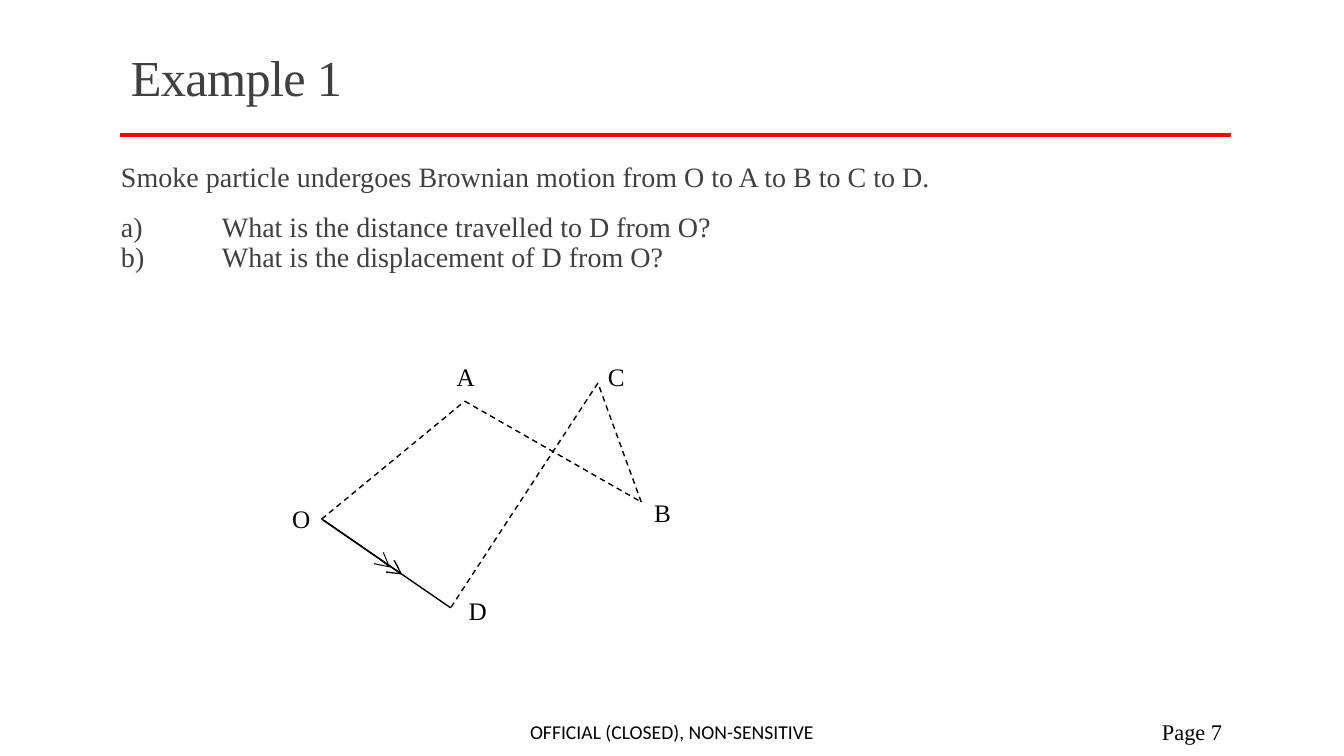
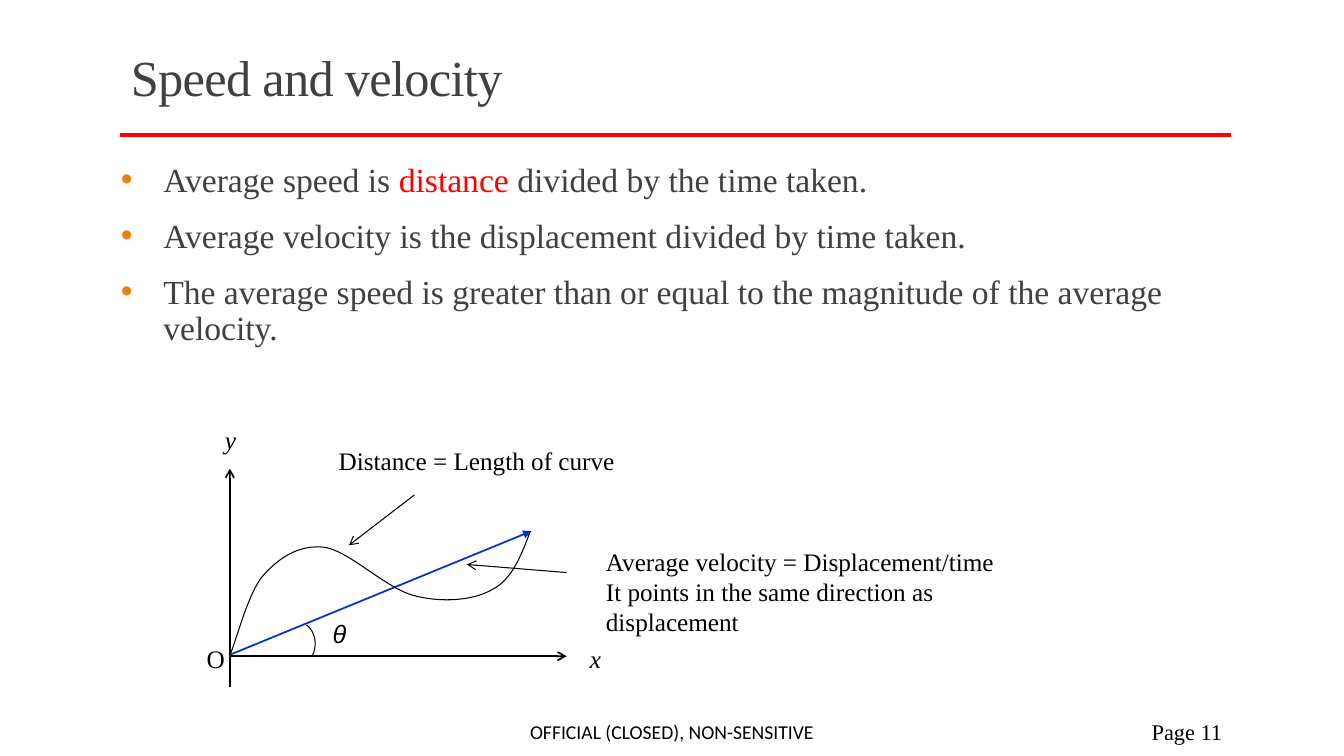
"""Build two physics slides on distance, displacement, speed and velocity."""
import dataclasses
import typing

import lxml.etree
import pptx
import pptx.dml.color
import pptx.enum.dml
import pptx.enum.shapes
import pptx.enum.text
import pptx.oxml.ns
import pptx.util

Inches = pptx.util.Inches
Pt = pptx.util.Pt
qn = pptx.oxml.ns.qn
Align = pptx.enum.text.PP_ALIGN
Anchor = pptx.enum.text.MSO_ANCHOR
Point = tuple[float, float]
Row = list[tuple[str, str]]

HUES = {
    "ink": "000000",
    "gray": "404040",
    "red": "FF0000",
    "blue": "0033CC",
    "dot": "E48312",
}
SERIF = "Times New Roman"


@dataclasses.dataclass
class Label:
    text: str
    left: float
    top: float
    width: float
    height: float
    size: float = 18
    font: str = SERIF
    hue: str = "ink"
    slant: bool = False
    inset: float | None = None
    align: Align = Align.LEFT
    anchor: Anchor = Anchor.TOP
    pitch: float = 1.0
    track: int = 0


@dataclasses.dataclass
class Stroke:
    start: Point
    end: Point
    weight: float = 1
    hue: str = "ink"
    dashed: bool = False
    tip: str = ""
    girth: str = "med"


def color(hue: str) -> pptx.dml.color.RGBColor:
    return pptx.dml.color.RGBColor.from_string(HUES[hue])


def style(font: typing.Any, size: float, hue: str, name: str = SERIF) -> None:
    font.size = Pt(size)
    font.name = name
    font.color.rgb = color(hue)


def add_label(shapes: typing.Any, label: Label) -> None:
    box = shapes.add_textbox(Inches(label.left), Inches(label.top),
                             Inches(label.width), Inches(label.height))
    frame = box.text_frame
    frame.word_wrap = True
    frame.vertical_anchor = label.anchor
    if label.inset is not None:
        frame.margin_left = frame.margin_right = Inches(label.inset)
        frame.margin_top = frame.margin_bottom = Inches(label.inset)
    frame.text = label.text
    para = frame.paragraphs[0]
    para.alignment = label.align
    para.line_spacing = label.pitch
    for run in para.runs:
        style(run.font, label.size, label.hue, label.font)
        run.font.italic = label.slant
        if label.track:
            run._r.get_or_add_rPr().set("spc", str(label.track))


def add_stroke(shapes: typing.Any, stroke: Stroke) -> None:
    ends = [Inches(n) for n in (*stroke.start, *stroke.end)]
    link = shapes.add_connector(pptx.enum.shapes.MSO_CONNECTOR.STRAIGHT, *ends)
    link.line.color.rgb = color(stroke.hue)
    link.line.width = Pt(stroke.weight)
    if stroke.dashed:
        link.line.dash_style = pptx.enum.dml.MSO_LINE.DASH
    props = link._element.spPr
    if stroke.tip:
        lxml.etree.SubElement(props.find(qn("a:ln")), qn("a:tailEnd"),
                              type=stroke.tip, w=stroke.girth, len=stroke.girth)
    lxml.etree.SubElement(props, qn("a:effectLst"))


def add_curve(shapes: typing.Any, start: Point, knots: list[Point]) -> None:
    pen = shapes.build_freeform(Inches(start[0]), Inches(start[1]))
    pen.add_line_segments([(Inches(x), Inches(y)) for x, y in knots], close=False)
    curve = pen.convert_to_shape()
    curve.shadow.inherit = False
    curve.fill.background()
    curve.line.color.rgb = color("ink")
    curve.line.width = Pt(0.75)
    legs = list(curve._element.iter(qn("a:lnTo")))
    for first in range(0, len(legs), 3):
        bend = lxml.etree.Element(qn("a:cubicBezTo"))
        legs[first].addprevious(bend)
        for leg in legs[first:first + 3]:
            bend.append(leg[0])
            leg.getparent().remove(leg)


def add_body(shapes: typing.Any, rows: list[Row], size: float, dots: bool) -> None:
    box = shapes.add_textbox(Inches(1.2), Inches(1.57), Inches(11.02), Inches(5.12))
    frame = box.text_frame
    frame.word_wrap = True
    frame.margin_left = frame.margin_right = 0
    for place, row in enumerate(rows):
        para = frame.add_paragraph() if place else frame.paragraphs[0]
        props = para._p.get_or_add_pPr()
        if dots:
            props.set("marL", str(Inches(0.42)))
            props.set("indent", str(-Inches(0.42)))
            tint = lxml.etree.SubElement(props, qn("a:buClr"))
            lxml.etree.SubElement(tint, qn("a:srgbClr"), val=HUES["dot"])
            lxml.etree.SubElement(props, qn("a:buFont"), typeface="Arial")
            lxml.etree.SubElement(props, qn("a:buChar"), char="•")
        else:
            tabs = lxml.etree.SubElement(props, qn("a:tabLst"))
            lxml.etree.SubElement(tabs, qn("a:tab"), pos=str(Inches(1)), algn="l")
        para.line_spacing = 0.9
        para.space_before = Pt(8 if place else 0)
        para.space_after = Pt(6)
        para.text = row[0][0]
        for text, _ in row[1:]:
            para.add_run().text = text
        hues = [hue for _, hue in row]
        for spot, run in enumerate(para.runs):
            style(run.font, size, hues[min(spot, len(hues) - 1)])


def add_slide(deck: typing.Any, title: str, page: int) -> typing.Any:
    shapes = deck.slides.add_slide(deck.slide_layouts[6]).shapes
    add_stroke(shapes, Stroke((1.19, 1.34), (12.21, 1.34), 2.25, "red"))
    add_label(shapes, Label(title, 1.2, 0.31, 11, 0.98, 36, hue="gray",
                            anchor=Anchor.MIDDLE, pitch=0.85, track=-50))
    add_label(shapes, Label("OFFICIAL (CLOSED), NON-SENSITIVE", 4.03, 7.06, 5.27, 0.4, 14,
                            "Calibri", align=Align.CENTER, anchor=Anchor.MIDDLE))
    add_label(shapes, Label(f"Page {page}", 10.79, 7.06, 1.43, 0.4, 16,
                            align=Align.RIGHT, anchor=Anchor.MIDDLE))
    return shapes


def draw(shapes: typing.Any, strokes: list[Stroke], labels: list[Label]) -> typing.Any:
    group = shapes.add_group_shape().shapes
    for stroke in strokes:
        add_stroke(group, stroke)
    for label in labels:
        add_label(group, label)
    return group


def add_walk(deck: typing.Any) -> None:
    shapes = add_slide(deck, "Example 1", 7)
    add_body(shapes, [
        [("Smoke particle undergoes Brownian motion from O to A to B to C to D.", "gray")],
        [("a)\tWhat is the distance travelled to D from O?\n"
          "b)\tWhat is the displacement of D from O?", "gray")],
    ], 20, False)
    stops = [(3.19, 5.15), (4.61, 3.98), (6.36, 4.98), (5.93, 3.8), (4.47, 6.03)]
    strokes = [Stroke(a, b, dashed=True) for a, b in zip(stops, stops[1:])]
    strokes += [
        Stroke(stops[0], stops[-1]),
        Stroke((3.21, 5.16), (3.99, 5.7), tip="arrow", girth="lg"),
        Stroke((3.76, 5.54), (3.87, 5.63), 0.75, tip="arrow", girth="lg"),
    ]
    names = [("O", 2.8, 4.94), ("A", 4.43, 3.54), ("B", 6.39, 4.88),
             ("C", 5.93, 3.54), ("D", 4.55, 5.86)]
    draw(shapes, strokes, [Label(*name, 0.5, 0.44) for name in names])


def add_speed(deck: typing.Any) -> None:
    shapes = add_slide(deck, "Speed and velocity", 11)
    add_body(shapes, [
        [("Average speed is ", "gray"), ("distance ", "red"),
         ("divided by the time taken.", "gray")],
        [("Average velocity is the displacement divided by time taken.", "gray")],
        [("The average speed is greater than or equal to the magnitude of the average "
          "velocity.", "gray")],
    ], 24, True)
    strokes = [
        Stroke((2.28, 6.82), (2.28, 4.65), 1.25, tip="arrow"),
        Stroke((2.28, 6.51), (5.62, 6.51), 1.25, tip="arrow"),
        Stroke((2.27, 6.5), (5.27, 5.27), 1.25, "blue", tip="triangle"),
        Stroke((4.11, 4.91), (3.46, 5.41), 0.75, tip="arrow"),
        Stroke((5.62, 5.68), (4.63, 5.6), 0.75, tip="arrow"),
    ]
    labels = [
        Label("O", 2.04, 6.37, 0.25, 0.3, inset=0.01),
        Label("y", 2.22, 4.2, 0.29, 0.43, slant=True, inset=0.01),
        Label("x", 5.84, 6.37, 0.54, 0.3, slant=True, inset=0.01),
        Label("θ", 3.29, 6.12, 0.38, 0.37, font="Arial", slant=True, inset=0.01),
        Label("Distance = Length of curve", 3.35, 4.41, 4.13, 0.43, inset=0.01),
        Label("Average velocity = Displacement/time It points in the same direction as "
              "displacement", 6, 5.41, 3.93, 0.67, inset=0.01),
    ]
    group = draw(shapes, strokes, labels)
    add_curve(group, (2.28, 6.5), [
        (2.34, 6.37), (2.46, 5.88), (2.61, 5.71),
        (2.77, 5.53), (2.97, 5.4), (3.22, 5.43),
        (3.47, 5.47), (3.83, 5.84), (4.11, 5.91),
        (4.38, 5.98), (4.69, 5.96), (4.88, 5.85),
        (5.08, 5.75), (5.17, 5.51), (5.26, 5.27),
    ])
    add_curve(group, (3.04, 6.2), [
        (3.11, 6.25), (3.14, 6.35), (3.12, 6.44),
        (3.12, 6.46), (3.11, 6.48), (3.1, 6.5),
    ])


def main() -> None:
    deck = pptx.Presentation()
    deck.slide_width = Inches(13.33)
    deck.slide_height = Inches(7.5)
    add_walk(deck)
    add_speed(deck)
    deck.save("out.pptx")


if __name__ == "__main__":
    main()
